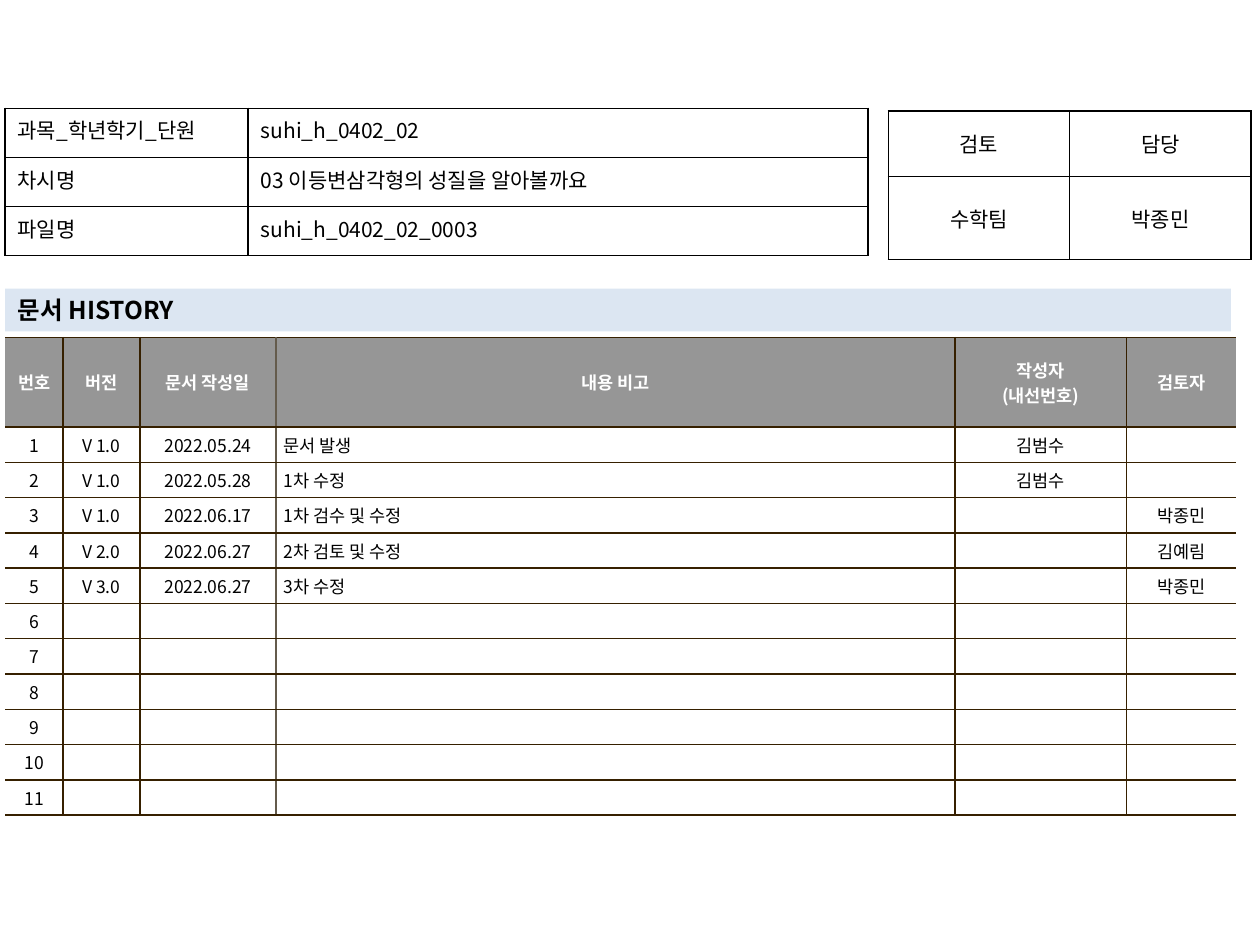
from lxml import etree
from pptx import Presentation
from pptx.dml.color import RGBColor
from pptx.enum.text import MSO_ANCHOR, PP_ALIGN
from pptx.oxml.ns import qn
from pptx.util import Inches, Pt

LEFT, MID, JUST = PP_ALIGN.LEFT, PP_ALIGN.CENTER, PP_ALIGN.JUSTIFY
TOP, CENTRE = MSO_ANCHOR.TOP, MSO_ANCHOR.MIDDLE
FONT = "Noto Sans CJK KR"
BLACK, WHITE, GREY = "000000", "FFFFFF", "969696"
BROWN, TAUPE, PALE = "362000", "645B4C", "DCE6F2"

INFO = [
    ["과목_학년학기_단원 ", "suhi_h_0402_02"],
    ["차시명", "03 이등변삼각형의 성질을 알아볼까요"],
    ["파일명", "suhi_h_0402_02_0003"],
]
REVIEW = [["검토", "담당"], ["수학팀", "박종민"]]
HEADS = ["번호", "버전", "문서 작성일", "내용 비고", "작성자\n(내선번호)", "검토자"]
LOG = [
    ["V 1.0", "2022.05.24", "문서 발생", "김범수", ""],
    ["V 1.0", "2022.05.28", "1차 수정", "김범수", ""],
    ["V 1.0", "2022.06.17", "1차 검수 및 수정", "", "박종민"],
    ["V 2.0", "2022.06.27", "2차 검토 및 수정", "", "김예림"],
    ["V 3.0", "2022.06.27", "3차 수정", "", "박종민"],
]
COUNT = 11


def rgb(code):
    return RGBColor.from_string(code)


def paint(shape, code):
    shape.fill.solid()
    shape.fill.fore_color.rgb = rgb(code)


def style(para, size, code=BLACK, bold=False, align=LEFT):
    para.alignment = align
    font = para.font
    font.name, font.size, font.bold = FONT, Pt(size), bold
    font.color.rgb = rgb(code)
    props = para._p.get_or_add_pPr().get_or_add_defRPr()
    etree.SubElement(props, qn("a:ea"), typeface=FONT)
    if not para.text:
        para._p.get_or_add_endParaRPr().set("sz", str(size * 100))


def edge(cell, sides):
    props = cell._tc.get_or_add_tcPr()
    for spot, (side, code) in enumerate(zip("LRTB", sides)):
        line = etree.Element(qn(f"a:ln{side}"), w=str(Pt(1)))
        if code:
            fill = etree.SubElement(line, qn("a:solidFill"))
            etree.SubElement(fill, qn("a:srgbClr"), val=code)
        else:
            etree.SubElement(line, qn("a:noFill"))
        props.insert(spot, line)


def fill_cell(cell, text, size, align, anchor, pad, code=BLACK, bold=False):
    cell.text = text
    cell.vertical_anchor = anchor
    cell.margin_left = cell.margin_right = Inches(pad[0])
    cell.margin_top = cell.margin_bottom = Inches(pad[1])
    for para in cell.text_frame.paragraphs:
        style(para, size, code, bold, align)


def grid(slide, box, cols, rows):
    frame = slide.shapes.add_table(len(rows), len(cols), *map(Inches, box))
    table = frame.table
    table.first_row = table.horz_banding = False
    for col, width in zip(table.columns, cols):
        col.width = Inches(width)
    for row, height in zip(table.rows, rows):
        row.height = Inches(height)
    return table


def add_form(slide, box, cols, rows, data, aligns, anchor):
    table = grid(slide, box, cols, rows)
    for r, line in enumerate(data):
        for c, text in enumerate(line):
            cell = table.cell(r, c)
            fill_cell(cell, text, 12, aligns[c], anchor, (0.1, 0.05))
            paint(cell, WHITE)
            edge(cell, [BLACK] * 4)


def add_log(slide, box, cols):
    blank = [[""] * 5] * (COUNT - len(LOG))
    body = [[str(n), *line] for n, line in enumerate(LOG + blank, 1)]
    table = grid(slide, box, cols, [0.71] + [0.28] * COUNT)
    walls = [None, BROWN, BROWN, TAUPE, BROWN, BROWN, None]
    for r, line in enumerate([HEADS] + body):
        head = r == 0
        for c, text in enumerate(line):
            cell = table.cell(r, c)
            align = LEFT if c == 3 and not head else MID
            fill_cell(cell, text, 10, align, CENTRE, (0.06, 0.04),
                      WHITE if head else BLACK, head)
            paint(cell, GREY if head else WHITE)
            edge(cell, [walls[c], walls[c + 1], BROWN, BROWN])


def add_title(slide, box, text):
    title = slide.shapes.title
    title.left, title.top, title.width, title.height = map(Inches, box)
    paint(title, PALE)
    frame = title.text_frame
    frame.text = text
    frame.word_wrap = True
    frame.vertical_anchor = CENTRE
    style(frame.paragraphs[0], 14, bold=True)


def main():
    deck = Presentation()
    deck.slide_width, deck.slide_height = Inches(10), Inches(7.5)
    slide = deck.slides.add_slide(deck.slide_layouts[5])
    add_title(slide, (0.04, 2.29, 9.73, 0.34), "문서 HISTORY")
    add_log(slide, (0.04, 2.68, 9.77, 3.79), [0.46, 0.61, 1.08, 5.39, 1.36, 0.87])
    add_form(slide, (7.05, 0.88, 2.88, 1.18), [1.44] * 2, [0.52, 0.66],
             REVIEW, [MID, MID], CENTRE)
    add_form(slide, (0.04, 0.86, 6.85, 1.18), [1.93, 4.92], [0.39] * 3,
             INFO, [JUST, LEFT], TOP)
    deck.save("out.pptx")


if __name__ == "__main__":
    main()
